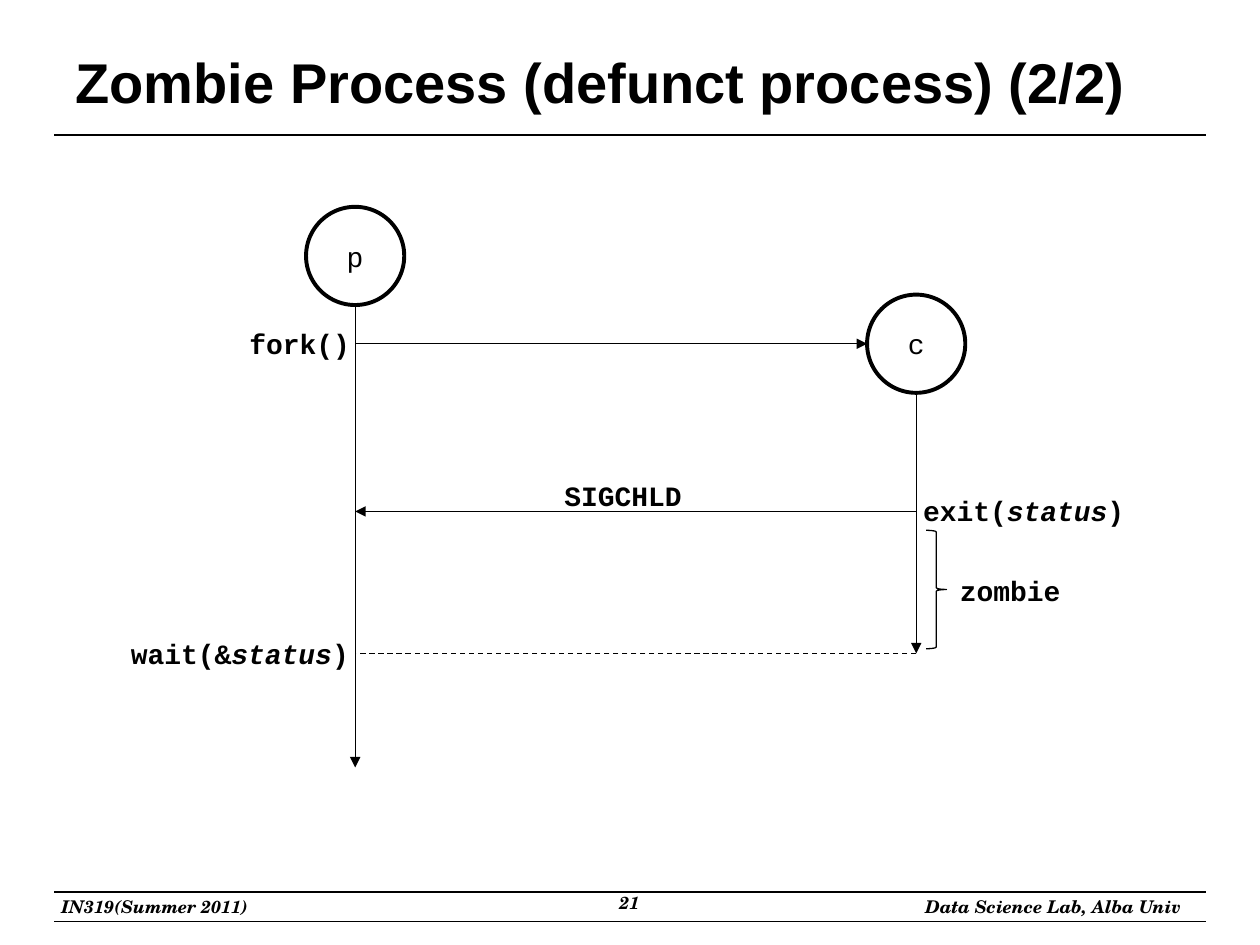
from lxml import etree
from pptx import Presentation
from pptx import util as u
from pptx.dml.color import RGBColor
from pptx.enum import dml, shapes, text
from pptx.oxml.ns import qn

Cm = u.Cm
LEFT, CENTER, RIGHT = (text.PP_ALIGN.LEFT, text.PP_ALIGN.CENTER,
                       text.PP_ALIGN.RIGHT)

THEME = {
    "ink": RGBColor(0, 0, 0),
    "title": {"name": "Arial", "size": u.Pt(32), "bold": True},
    "footer": {"name": "TeX Gyre Schola", "size": u.Pt(10),
               "bold": True, "italic": True},
    "code": {"name": "Courier New", "size": u.Pt(16), "bold": True},
    "process": {"name": "Courier New", "size": u.Pt(16), "bold": False},
    "thin": u.Pt(0.75),
    "thick": u.Pt(2.25),
}

# Content; lengths in cm
TITLE = "Zombie Process (defunct process) (2/2)"
RULES = [2.72, 17.98, 18.57]
RULE_ENDS = (1.09, 24.31)
FOOTERS = [  # words, left, top, width, height, alignment, wrap
    ("IN319(Summer 2011)", 0.99, 17.93, 4.39, 0.69, LEFT, False),
    ("Data Science Lab, Alba Univ", 18.19, 17.93, 5.87, 0.69, RIGHT, False),
    ("21", 9.73, 17.86, 5.92, 0.79, CENTER, True),
]
CIRCLE = 1.98
PARENT_X, CHILD_X = 7.16, 18.47
PROCESSES = [("p", PARENT_X, 4.17), ("c", CHILD_X, 5.94)]  # name, centre, top
PARENT_START, CHILD_START = (top + CIRCLE for _, _, top in PROCESSES)
FORK_Y = PROCESSES[1][2] + CIRCLE / 2
EXIT_Y, WAIT_Y, PARENT_END = 10.31, 13.17, 15.47
FLOWS = [  # start, end, arrow (otherwise dashed)
    ((PARENT_X, PARENT_START), (PARENT_X, PARENT_END), True),
    ((PARENT_X, FORK_Y), (CHILD_X - CIRCLE / 2, FORK_Y), True),
    ((CHILD_X, CHILD_START), (CHILD_X, WAIT_Y), True),
    ((CHILD_X, EXIT_Y), (PARENT_X, EXIT_Y), True),
    ((CHILD_X, WAIT_Y), (PARENT_X, WAIT_Y), False),
]
CALLS = [  # (words, italic) runs, left, top, width
    ([("fork()", False)], 4.78, 6.45, 2.57),
    ([("exit(", False), ("status", True), (")", False)], 18.36, 9.83, 4.62),
    ([("SIGCHLD", False)], 11.13, 9.53, 2.92),
    ([("wait(&", False), ("status", True), (")", False)], 2.39, 12.7, 4.98),
    ([("zombie", False)], 19.1, 11.43, 2.57),
]
CALL_HEIGHT = 0.94
BRACE = (18.67, 10.69, 0.41, 2.39)


def apply(target, values):
    for name, value in values.items():
        setattr(target, name, value)


def write(frame, runs, style, align=LEFT, wrap=False,
          anchor=text.MSO_ANCHOR.TOP):
    apply(frame, {"word_wrap": wrap, "vertical_anchor": anchor})
    paragraph = frame.paragraphs[0]
    paragraph.alignment = align
    for words, extra in runs:
        run = paragraph.add_run()
        run.text = words
        apply(run.font, {**THEME[style], **extra})
        run.font.color.rgb = THEME["ink"]


def add_text(slide, box, runs, style, align=LEFT, wrap=False):
    frame = slide.shapes.add_textbox(*map(Cm, box)).text_frame
    write(frame, runs, style, align, wrap)
    if not wrap:
        frame.auto_size = text.MSO_AUTO_SIZE.SHAPE_TO_FIT_TEXT


def add_line(slide, start, end, arrow=False, dashed=False):
    connector = slide.shapes.add_connector(
        shapes.MSO_CONNECTOR.STRAIGHT, *map(Cm, start + end))
    line = connector.line
    line.color.rgb = THEME["ink"]
    line.width = THEME["thin"]
    if dashed:
        line.dash_style = dml.MSO_LINE.DASH
    if arrow:
        etree.SubElement(line._get_or_add_ln(), qn("a:tailEnd"),
                         type="triangle")
    etree.SubElement(connector._element.spPr, qn("a:effectLst"))


def add_outline(slide, kind, box, weight):
    outline = slide.shapes.add_shape(kind, *map(Cm, box))
    outline.shadow.inherit = False
    outline.fill.background()
    outline.line.color.rgb = THEME["ink"]
    outline.line.width = THEME[weight]
    return outline


def main():
    deck = Presentation()
    apply(deck, {"slide_width": Cm(25.4), "slide_height": Cm(19.05)})
    slide = deck.slides.add_slide(deck.slide_layouts[5])

    # Title
    title = slide.shapes.title
    apply(title, {"left": Cm(1.27), "top": Cm(0.76),
                  "width": Cm(22.86), "height": Cm(1.75)})
    write(title.text_frame, [(TITLE, {})], "title", wrap=True,
          anchor=text.MSO_ANCHOR.MIDDLE)
    title.text_frame.auto_size = text.MSO_AUTO_SIZE.NONE

    # Rules and footer
    for y in RULES:
        add_line(slide, (RULE_ENDS[0], y), (RULE_ENDS[1], y))
    for words, left, top, width, height, align, wrap in FOOTERS:
        add_text(slide, (left, top, width, height), [(words, {})],
                 "footer", align, wrap)

    # Processes
    for name, centre, top in PROCESSES:
        circle = add_outline(slide, shapes.MSO_SHAPE.OVAL,
                             (centre - CIRCLE / 2, top, CIRCLE, CIRCLE),
                             "thick")
        write(circle.text_frame, [(name, {})], "process", CENTER,
              anchor=text.MSO_ANCHOR.MIDDLE)

    # Lifelines, signals and calls
    for start, end, arrow in FLOWS:
        add_line(slide, start, end, arrow, dashed=not arrow)
    for runs, left, top, width in CALLS:
        add_text(slide, (left, top, width, CALL_HEIGHT),
                 [(words, {"italic": italic}) for words, italic in runs],
                 "code")

    # Zombie span
    add_outline(slide, shapes.MSO_SHAPE.RIGHT_BRACE, BRACE, "thin")

    deck.save("out.pptx")


if __name__ == "__main__":
    main()
